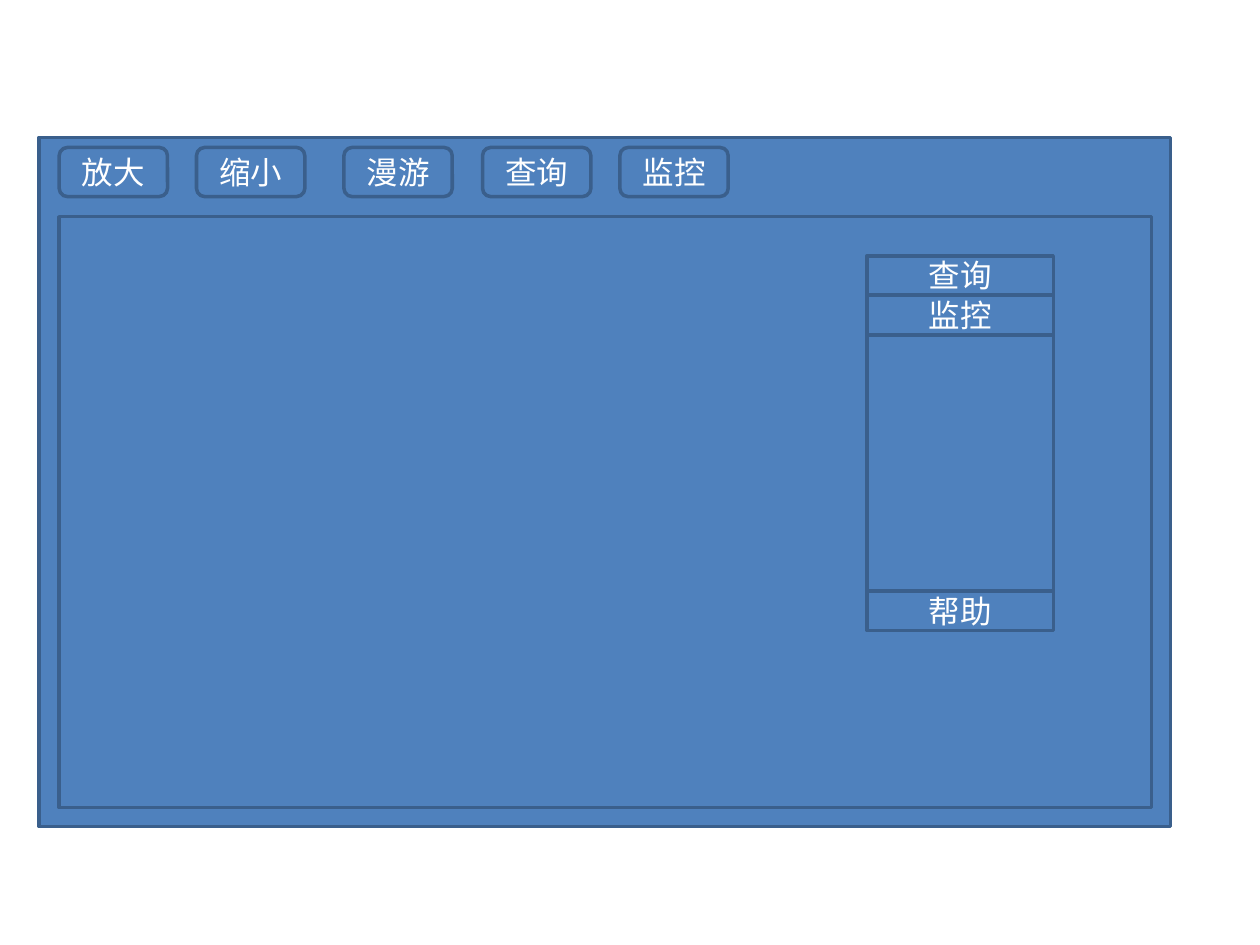
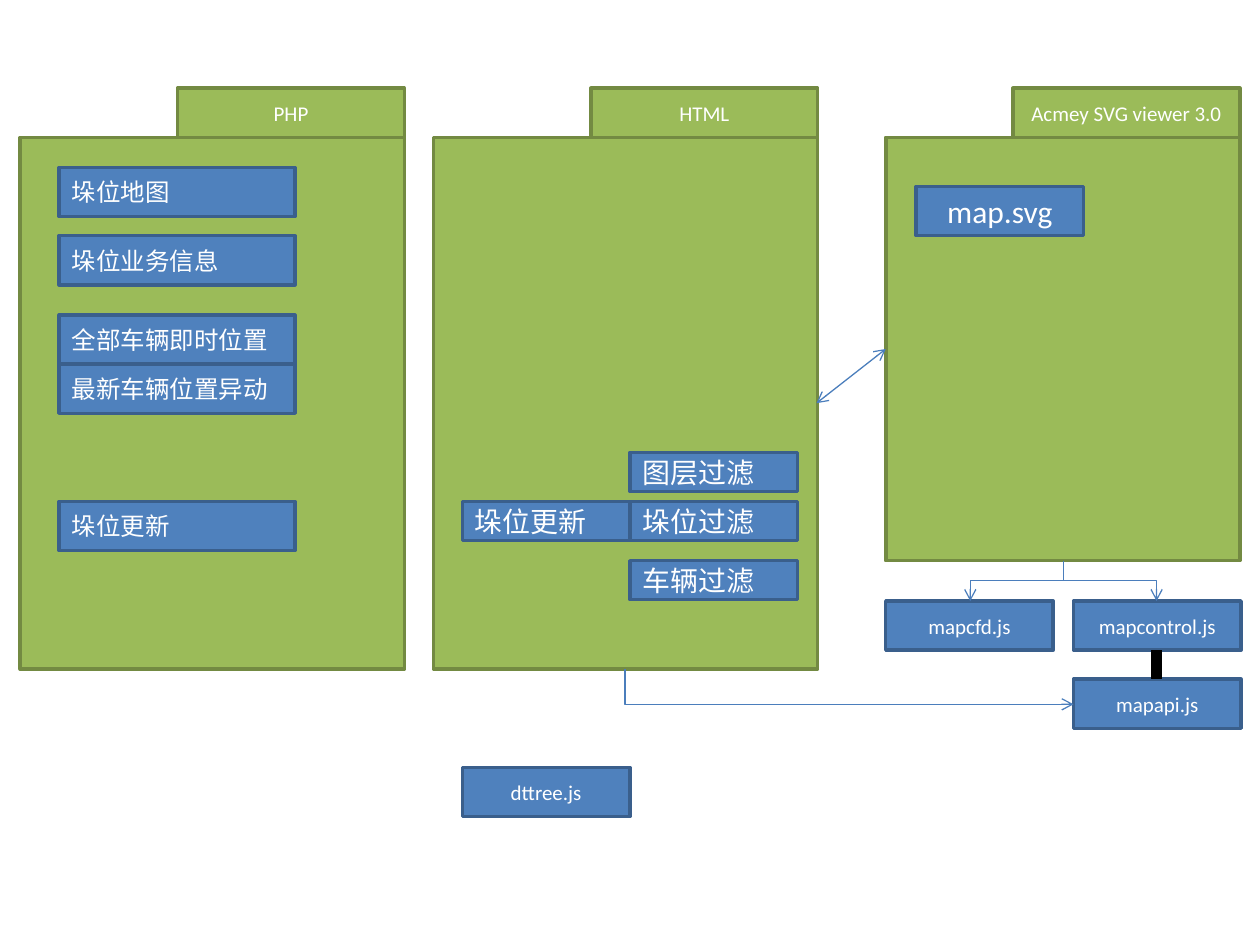
from lxml.etree import SubElement
from pptx import Presentation
from pptx.dml.color import RGBColor
from pptx.enum.shapes import MSO_CONNECTOR, MSO_SHAPE
from pptx.enum.text import MSO_ANCHOR, PP_ALIGN
from pptx.oxml.ns import qn
from pptx.util import Inches, Pt

FONT = "Calibri"
WHITE = "FFFFFF"
BLACK = "000000"
CONNECTOR_BLUE = "4B7EBC"
BLUE = ("4F81BD", "3A5F8C")
GREEN = ("9BBB59", "738A42")
BUTTON_HEIGHT = 0.39
ROW_HEIGHT = 0.31
SCRIPT_WIDTH = 1.33
TAB_WIDTH = 1.8


def color(hex_string):
    return RGBColor.from_string(hex_string)


def write_text(shape, text, size=18, align=PP_ALIGN.CENTER, text_color=WHITE):
    frame = shape.text_frame
    frame.word_wrap = True
    frame.vertical_anchor = MSO_ANCHOR.MIDDLE
    paragraph = frame.paragraphs[0]
    paragraph.alignment = align
    run = paragraph.add_run()
    run.text = text
    run.font.name = FONT
    run.font.size = Pt(size)
    run.font.color.rgb = color(text_color)


def add_box(slide, left, top, width, height, text="", scheme=BLUE,
            kind=MSO_SHAPE.RECTANGLE, **text_format):
    shape = slide.shapes.add_shape(
        kind, Inches(left), Inches(top), Inches(width), Inches(height))
    shape.shadow.inherit = False
    fill_color, line_color = scheme
    shape.fill.solid()
    shape.fill.fore_color.rgb = color(fill_color)
    shape.line.color.rgb = color(line_color)
    shape.line.width = Pt(2)
    if text:
        write_text(shape, text, **text_format)
    return shape


def add_line(slide, start, end, kind=MSO_CONNECTOR.STRAIGHT,
             line_color=CONNECTOR_BLUE, width=0.75, arrows=()):
    points = [Inches(value) for value in (*start, *end)]
    connector = slide.shapes.add_connector(kind, *points)
    connector.line.color.rgb = color(line_color)
    connector.line.width = Pt(width)
    outline = connector.line._get_or_add_ln()
    for arrow in arrows:
        SubElement(outline, qn(f"a:{arrow}"), type="arrow")
    SubElement(connector._element.spPr, qn("a:effectLst"))
    return connector


def add_downward_elbow(slide, start, end, preset="bentConnector3"):
    across, down = abs(end[0] - start[0]), end[1] - start[1]
    left = (start[0] + end[0] - down) / 2
    top = (start[1] + end[1] - across) / 2
    connector = add_line(slide, (left, top), (left + down, top + across),
                         kind=MSO_CONNECTOR.ELBOW, arrows=["tailEnd"])
    properties = connector._element.spPr
    transform = properties.find(qn("a:xfrm"))
    if end[0] < start[0]:
        transform.set("rot", str(90 * 60000))
    else:
        transform.set("rot", str(270 * 60000))
        transform.set("flipH", "1")
    properties.find(qn("a:prstGeom")).set("prst", preset)


def add_toolbar(slide, left, top):
    buttons = [("放大", 0), ("缩小", 1.09), ("漫游", 2.26),
               ("查询", 3.36), ("监控", 4.45)]
    for label, offset in buttons:
        add_box(slide, left + offset, top, 0.86, BUTTON_HEIGHT, label,
                kind=MSO_SHAPE.ROUNDED_RECTANGLE)


def add_context_menu(slide, left, top, width):
    rows = [("查询", ROW_HEIGHT), ("监控", ROW_HEIGHT), ("", 2.03),
            ("帮助", ROW_HEIGHT)]
    for label, height in rows:
        add_box(slide, left, top, width, height, label)
        top += height + 0.005


def add_window(slide, left, top, width, height):
    add_box(slide, left, top, width, height)
    add_toolbar(slide, left + 0.16, top + 0.08)
    add_box(slide, left + 0.16, top + 0.63, width - 0.31, height - 0.78)
    add_context_menu(slide, left + 6.57, top + 0.94, 1.48)


def add_package(slide, left, top, width, height, title):
    add_box(slide, left, top, width, height, scheme=GREEN)
    add_box(slide, left + width - TAB_WIDTH, top - BUTTON_HEIGHT, TAB_WIDTH,
            BUTTON_HEIGHT, title, scheme=GREEN, size=12)


def add_server_package(slide, left, top, width, height):
    add_package(slide, left, top, width, height, "PHP")
    services = [("垛位地图", 0.24), ("垛位业务信息", 0.78),
                ("全部车辆即时位置", 1.41), ("最新车辆位置异动", 1.8),
                ("垛位更新", 2.89)]
    for label, offset in services:
        add_box(slide, left + 0.31, top + offset, 1.87, BUTTON_HEIGHT, label,
                size=14, align=PP_ALIGN.LEFT)


def add_page_package(slide, left, top, width, height):
    add_package(slide, left, top, width, height, "HTML")
    controls = [("图层过滤", 1.56, 2.5), ("垛位更新", 0.23, 2.89),
                ("垛位过滤", 1.56, 2.89), ("车辆过滤", 1.56, 3.36)]
    for label, across, down in controls:
        add_box(slide, left + across, top + down, SCRIPT_WIDTH, ROW_HEIGHT,
                label, size=16, align=PP_ALIGN.LEFT)


def add_viewer_package(slide, left, top, width, height):
    add_package(slide, left, top, width, height, "Acmey SVG viewer 3.0")
    add_box(slide, left + 0.24, top + 0.39, SCRIPT_WIDTH, BUTTON_HEIGHT, "map.svg")


def add_scripts(slide, left, top):
    scripts = [("mapcfd.js", 3.36, 0), ("mapcontrol.js", 4.85, 0),
               ("mapapi.js", 4.85, 0.62), ("dttree.js", 0, 1.32)]
    for label, across, down in scripts:
        add_box(slide, left + across, top + down, SCRIPT_WIDTH, BUTTON_HEIGHT,
                label, size=12)


def add_links(slide):
    viewer_bottom = (8.44, 4.45)
    add_line(slide, (9.18, 5.16), (9.18, 5.39), line_color=BLACK, width=6)
    add_line(slide, (6.48, 3.2), (7.03, 2.77), arrows=["headEnd", "tailEnd"])
    add_downward_elbow(slide, viewer_bottom, (7.7, 4.77))
    add_downward_elbow(slide, viewer_bottom, (9.18, 4.77))
    add_downward_elbow(slide, (4.96, 5.31), (8.52, 5.59), "bentConnector2")


def build_interface_slide(presentation):
    slide = presentation.slides.add_slide(presentation.slide_layouts[6])
    add_window(slide, 0.31, 1.09, 8.98, 5.47)


def build_architecture_slide(presentation):
    slide = presentation.slides.add_slide(presentation.slide_layouts[6])
    add_server_package(slide, 0.16, 1.09, 3.05, 4.22)
    add_page_package(slide, 3.44, 1.09, 3.05, 4.22)
    add_viewer_package(slide, 7.03, 1.09, 2.81, 3.36)
    add_scripts(slide, 3.67, 4.77)
    add_links(slide)


presentation = Presentation()
presentation.slide_width = Inches(10)
presentation.slide_height = Inches(7.5)
build_interface_slide(presentation)
build_architecture_slide(presentation)
presentation.save("out.pptx")
